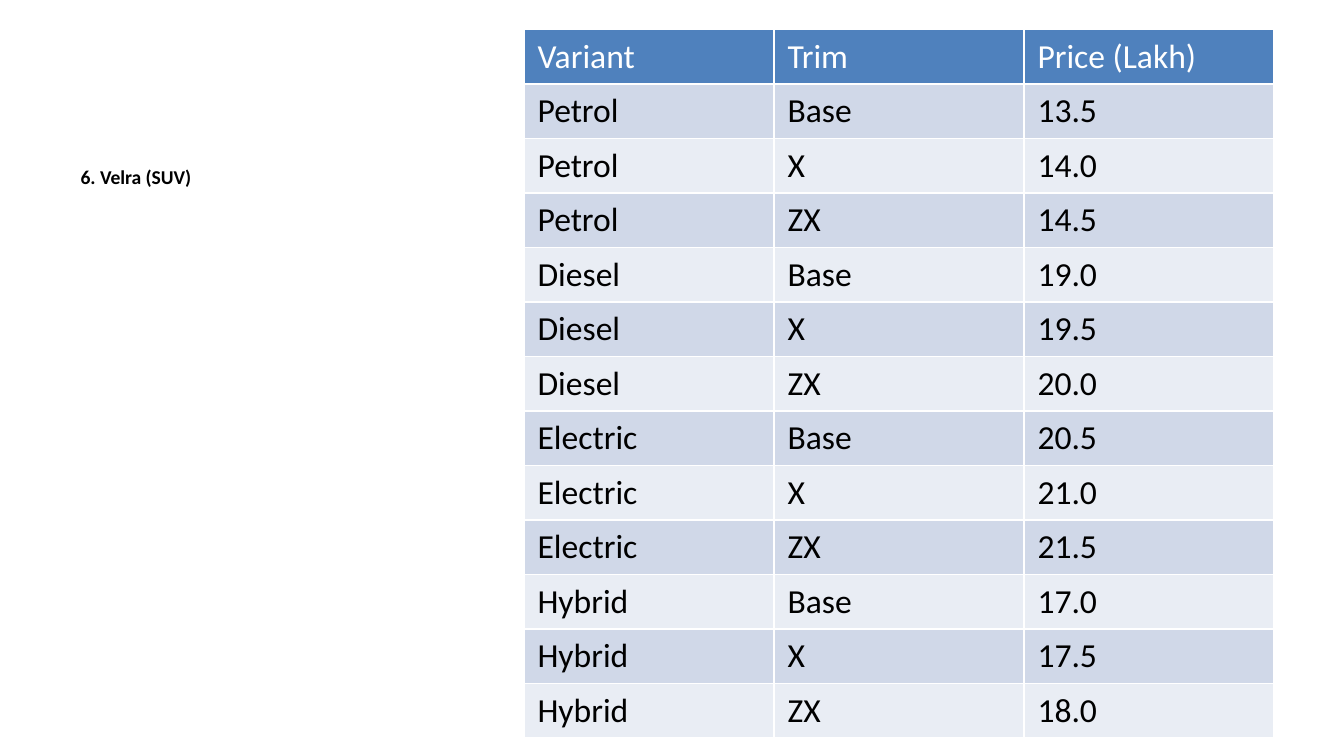
from dataclasses import dataclass
from itertools import product

from lxml import etree
from pptx import Presentation
from pptx.dml.color import RGBColor
from pptx.enum.text import MSO_ANCHOR, PP_ALIGN
from pptx.oxml.ns import qn
from pptx.slide import Slide
from pptx.table import _Cell
from pptx.text.text import _Paragraph
from pptx.util import Inches, Pt

TOP = MSO_ANCHOR.TOP
LEFT = PP_ALIGN.LEFT

WHITE = RGBColor(0xFF, 0xFF, 0xFF)
BLACK = RGBColor(0x00, 0x00, 0x00)
HEADER_BLUE = RGBColor(0x4F, 0x81, 0xBD)
BAND_DARK = RGBColor(0xD0, 0xD8, 0xE8)
BAND_LIGHT = RGBColor(0xE9, 0xED, 0xF4)

FONT = "Calibri"
HEADERS = ("Variant", "Trim", "Price (Lakh)")
TRIMS = ("Base", "X", "ZX")
START_PRICES = {"Petrol": 13.5, "Diesel": 19.0, "Electric": 20.5, "Hybrid": 17.0}
TRIM_STEP = 0.5


@dataclass(frozen=True)
class RowStyle:
    fill: RGBColor
    text: RGBColor


HEADER_ROW = RowStyle(HEADER_BLUE, WHITE)
BANDS = (RowStyle(BAND_DARK, BLACK), RowStyle(BAND_LIGHT, BLACK))


def add_run(p: _Paragraph, text: str, size: float, color: RGBColor, bold: bool = False) -> None:
    r = p.add_run()
    r.text = text
    r.font.name = FONT
    r.font.size = Pt(size)
    r.font.bold = bold
    r.font.color.rgb = color


def set_borders(cell: _Cell, color: RGBColor) -> None:
    tc_pr = cell._tc.get_or_add_tcPr()
    for side in ("lnL", "lnR", "lnT", "lnB"):
        ln = etree.SubElement(tc_pr, qn(f"a:{side}"), w=str(Pt(1)))
        fill = etree.SubElement(ln, qn("a:solidFill"))
        etree.SubElement(fill, qn("a:srgbClr"), val=str(color))


def fill_cell(cell: _Cell, text: str, style: RowStyle) -> None:
    set_borders(cell, WHITE)
    cell.fill.solid()
    cell.fill.fore_color.rgb = style.fill
    add_run(cell.text_frame.paragraphs[0], text, 18, style.text)


def add_heading(slide: Slide, text: str) -> None:
    body = slide.placeholders[1]
    body.left, body.top = Inches(0.5), Inches(1.18)
    body.width, body.height = Inches(3.29), Inches(3.85)
    tf = body.text_frame
    tf.word_wrap = True
    tf.vertical_anchor = TOP
    p = tf.paragraphs[0]
    p_pr = p._p.get_or_add_pPr()
    p_pr.set("marL", "0")
    p_pr.set("indent", "0")
    etree.SubElement(p_pr, qn("a:buNone"))
    p.alignment = LEFT
    p.space_before = Pt(0)
    add_run(p, text, 10.5, BLACK, bold=True)


def add_price_table(slide: Slide) -> None:
    rows = [HEADERS]
    for variant, (step, trim) in product(START_PRICES, enumerate(TRIMS)):
        rows.append((variant, trim, f"{START_PRICES[variant] + step * TRIM_STEP:.1f}"))
    table = slide.shapes.add_table(
        len(rows), len(HEADERS), Inches(3.9), Inches(0.22), Inches(5.58), Inches(4.79)
    ).table
    for i, row in enumerate(rows):
        style = BANDS[(i - 1) % 2] if i else HEADER_ROW
        for j, text in enumerate(row):
            fill_cell(table.cell(i, j), text, style)


def main() -> None:
    prs = Presentation()
    prs.slide_width = Inches(10)
    prs.slide_height = prs.slide_width * 9 // 16
    slide = prs.slides.add_slide(prs.slide_layouts[1])
    title = slide.shapes.title
    title.element.getparent().remove(title.element)
    add_heading(slide, "6. Velra (SUV)")
    add_price_table(slide)
    prs.save("out.pptx")


if __name__ == "__main__":
    main()
